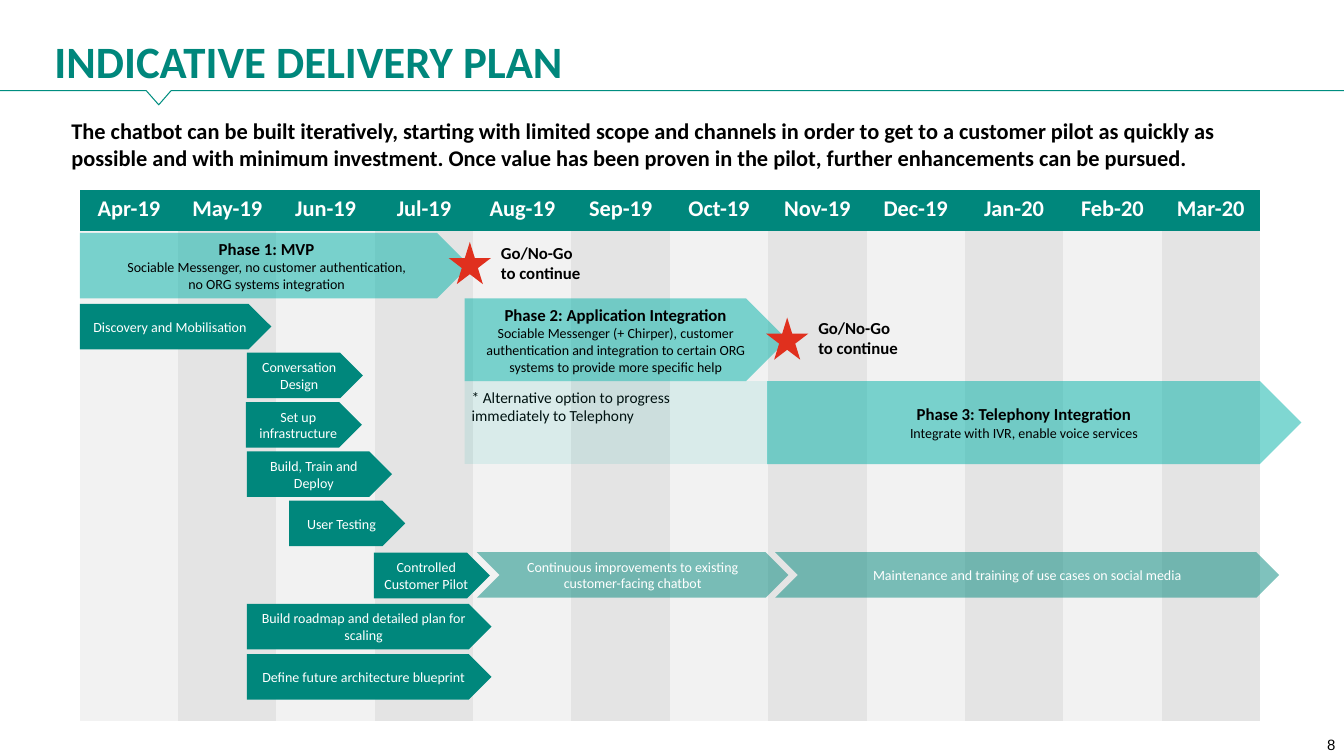
"""Builds the indicative delivery plan slide: a twelve-month roadmap with phases and tasks."""
from lxml.etree import SubElement
from pptx import Presentation
from pptx.dml.color import RGBColor
from pptx.enum.shapes import MSO_SHAPE as Preset
from pptx.enum.text import MSO_ANCHOR as Anchor, MSO_AUTO_SIZE as AutoSize, PP_ALIGN as Align
from pptx.oxml.ns import qn
from pptx.util import Pt

COLORS = {
    "green": "00877C", "rule": "008E80", "turquoise": "00B1A7", "red": "E0301E",
    "light": "F2F2F2", "grey": "E4E4E4", "black": "000000", "white": "FFFFFF",
}
RGB = {name: RGBColor.from_string(value) for name, value in COLORS.items()}


def write_text(text_frame, lines, color="black", align=Align.LEFT, anchor=Anchor.TOP, font="Calibri"):
    """Fill a text frame with (text, size, bold) lines."""
    text_frame.word_wrap = True
    text_frame.auto_size = AutoSize.NONE
    text_frame.vertical_anchor = anchor
    text_frame.text = "\n".join(text for text, size, bold in lines)
    for paragraph, (text, size, bold) in zip(text_frame.paragraphs, lines):
        paragraph.alignment = align
        for run in paragraph.runs:
            run.font.name = font
            run.font.size = Pt(size)
            run.font.bold = bold
            run.font.color.rgb = RGB[color]


def add_block(preset, box, fill, lines=(), color="black", opacity=100):
    """Add a borderless filled shape with centred text."""
    shape = slide.shapes.add_shape(preset, *map(Pt, box))
    shape.shadow.inherit = False
    shape.line.fill.background()
    shape.fill.solid()
    shape.fill.fore_color.rgb = RGB[fill]
    if opacity < 100:
        fill_color = next(shape.element.iter(qn("a:srgbClr")))
        SubElement(fill_color, qn("a:alpha"), val=str(opacity * 1000))
    if lines:
        write_text(shape.text_frame, lines, color, Align.CENTER, Anchor.MIDDLE)


presentation = Presentation()
presentation.slide_width, presentation.slide_height = Pt(960), Pt(540)
slide = presentation.slides.add_slide(presentation.slide_layouts[5])

title = slide.shapes.title
title.left, title.top, title.width, title.height = Pt(31.7), Pt(20.2), Pt(384), Pt(46)
write_text(title.text_frame, [("INDICATIVE DELIVERY PLAN", 32, True)], "green")
title.text_frame.word_wrap = False

builder = slide.shapes.build_freeform(Pt(960), Pt(64.8))
builder.add_line_segments(
    [(Pt(x), Pt(y)) for x, y in [(122.2, 64.8), (113.4, 74.9), (104.5, 64.8), (0, 64.8)]], close=False)
header_rule = builder.convert_to_shape()
header_rule.shadow.inherit = False
header_rule.fill.background()
header_rule.line.color.rgb = RGB["rule"]
header_rule.line.width = Pt(0.75)

page_number = slide.shapes.add_textbox(Pt(730), Pt(525), Pt(224), Pt(13)).text_frame
write_text(page_number, [("8", 10.7, False)], align=Align.RIGHT, anchor=Anchor.MIDDLE, font="Arial")
page_number.margin_left = page_number.margin_right = 0
page_number.margin_top = page_number.margin_bottom = 0

MONTHS = ["Apr-19", "May-19", "Jun-19", "Jul-19", "Aug-19", "Sep-19",
          "Oct-19", "Nov-19", "Dec-19", "Jan-20", "Feb-20", "Mar-20"]
ROW_COUNT, COLUMN_WIDTH, ROW_HEIGHT = 13, 70.25, 29.2
calendar_frame = slide.shapes.add_table(
    ROW_COUNT, len(MONTHS), Pt(57), Pt(135.6), Pt(COLUMN_WIDTH * len(MONTHS)), Pt(ROW_HEIGHT * ROW_COUNT))
calendar = calendar_frame.table
calendar.first_row = calendar.horz_banding = False
next(calendar_frame.element.iter(qn("a:tableStyleId"))).text = "{2D5ABB26-0587-4C30-8999-92F81FD0307C}"
for row in calendar.rows:
    row.height = Pt(ROW_HEIGHT)
for column_index, month in enumerate(MONTHS):
    calendar.columns[column_index].width = Pt(COLUMN_WIDTH)
    for row_index in range(ROW_COUNT):
        cell = calendar.cell(row_index, column_index)
        cell.fill.solid()
        stripe = "grey" if column_index % 2 else "light"
        cell.fill.fore_color.rgb = RGB[stripe if row_index else "green"]
    header = calendar.cell(0, column_index).text_frame
    header.text = month
    header.paragraphs[0].alignment = Align.CENTER
    font = header.paragraphs[0].runs[0].font
    font.name, font.size, font.bold, font.color.rgb = "Calibri", Pt(16), True, RGB["white"]

TASK_HEIGHT = 32.5
TASKS = [
    ("Discovery and Mobilisation", 57, 217, 136.8),
    ("Conversation Design", 176.4, 251.9, 82.8),
    ("Set up infrastructure", 175.7, 287.2, 82.8),
    ("Build, Train and Deploy", 176.4, 322.4, 103.7),
    ("User Testing", 206.6, 357.6, 82.8),
    ("Controlled Customer Pilot", 267.1, 394.8, 82.8),
    ("Build roadmap and detailed plan for scaling", 176.4, 431.3, 174.7),
    ("Define future architecture blueprint", 176.4, 467.3, 174.7),
]
for name, left, top, width in TASKS:
    add_block(Preset.PENTAGON, (left, top, width, TASK_HEIGHT), "green", [(name, 10, False)], "white")

FOLLOW_UPS = [
    ("Continuous improvements to existing customer-facing chatbot", 340.6, 222.5),
    ("Maintenance and training of use cases on social media", 553.7, 360),
]
for name, left, width in FOLLOW_UPS:
    add_block(Preset.CHEVRON, (left, 394.4, width, TASK_HEIGHT), "green", [(name, 10, False)], "white", 50)

PHASES = [
    ((57, 166.3, 278.6, 46.8), "Phase 1: MVP",
     ["Sociable Messenger, no customer authentication,", "no ORG systems integration"]),
    ((332, 213.1, 230.4, 59.2), "Phase 2: Application Integration",
     ["Sociable Messenger (+ Chirper), customer authentication and integration to certain ORG "
      "systems to provide more specific help"]),
    ((548, 272.3, 381.6, 59.2), "Phase 3: Telephony Integration",
     ["Integrate with IVR, enable voice services"]),
]
for box, name, details in PHASES:
    lines = [(name, 12, True)] + [(detail, 10, False) for detail in details]
    add_block(Preset.PENTAGON, box, "turquoise", lines, opacity=50)

STAR_SIZE = 30.2
for left, top in [(320.5, 172.8), (547.2, 226.8)]:
    add_block(Preset.STAR_5_POINT, (left, top, STAR_SIZE, STAR_SIZE), "red")
    decision = slide.shapes.add_textbox(Pt(left + STAR_SIZE), Pt(top - 3.2), Pt(82.8), Pt(36.4))
    write_text(decision.text_frame, [("Go/No-Go", 12, True), ("to continue", 12, True)])

introduction = slide.shapes.add_textbox(Pt(43.9), Pt(80), Pt(871.2), Pt(60.5))
write_text(introduction.text_frame, [(
    "The chatbot can be built iteratively, starting with limited scope and channels in order to get to a "
    "customer pilot as quickly as possible and with minimum investment. Once value has been proven in the "
    "pilot, further enhancements can be pursued.", 16, True)])

alternative = slide.shapes.add_textbox(Pt(329.8), Pt(273.6), Pt(164.9), Pt(33.8))
write_text(alternative.text_frame, [("* Alternative option to progress immediately to Telephony", 11, False)])
add_block(Preset.RECTANGLE, (332, 272.3, 216, 59.2), "turquoise", opacity=10)

presentation.save("out.pptx")
